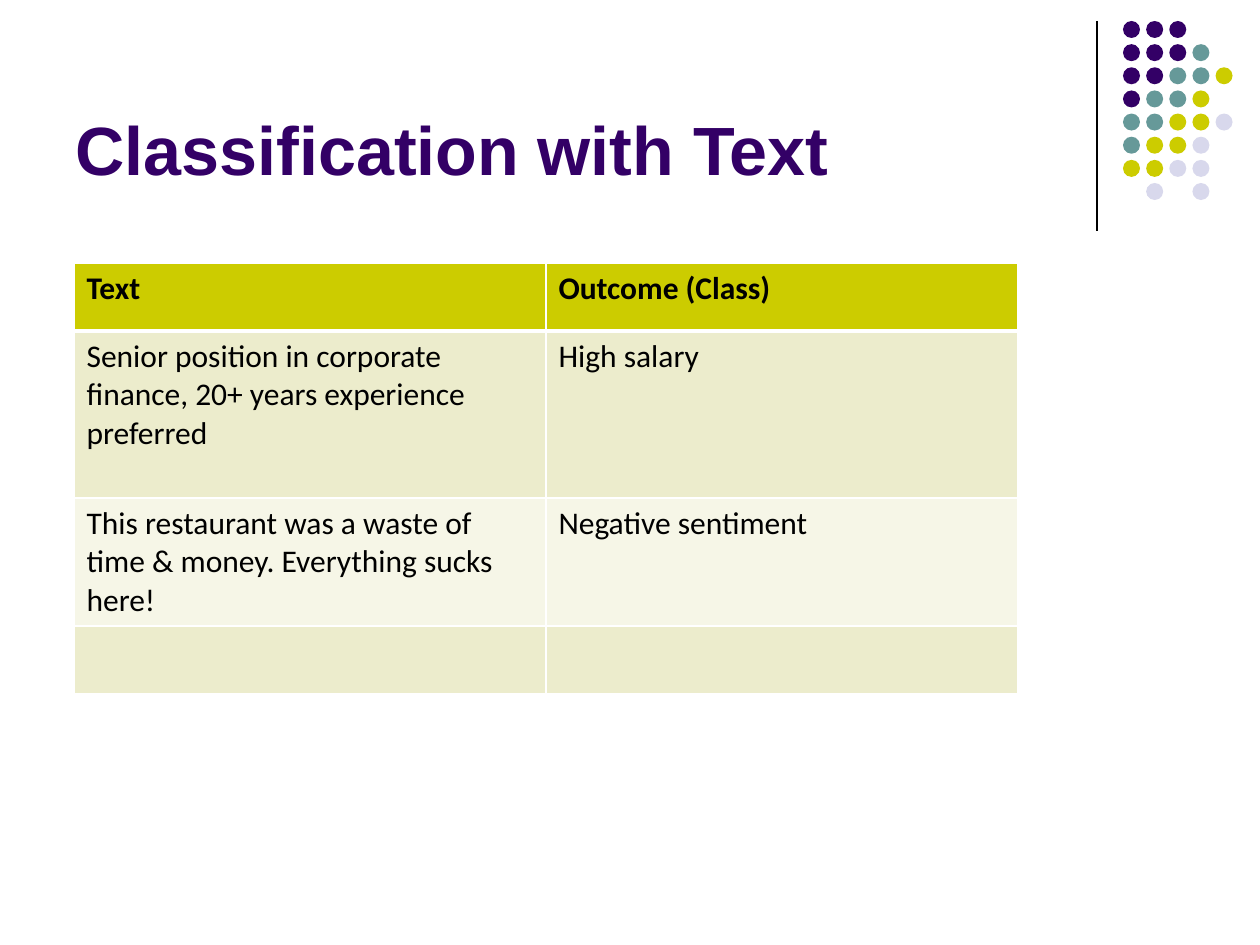
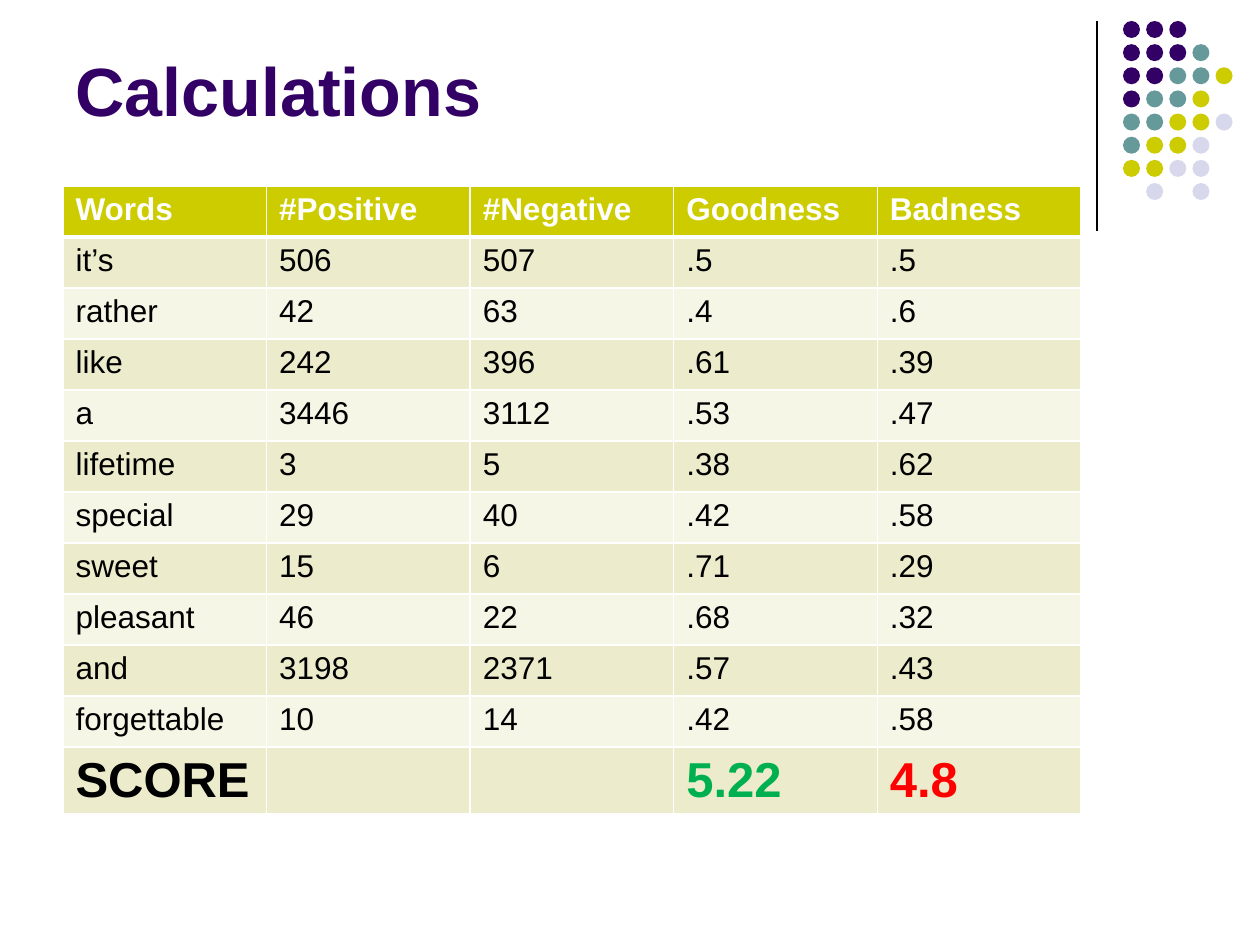
"""Build two slides on scoring text: a classification table and a word calculation table."""
from dataclasses import dataclass

from lxml import etree
from pptx import Presentation
from pptx.dml.color import RGBColor
from pptx.enum import shapes, text
from pptx.oxml import ns
from pptx.util import Inches, Pt

PX = Inches(1) / 126
TITLE_ONLY = 5


@dataclass(frozen=True)
class Theme:
    """Colours, fonts and type sizes of the deck."""
    purple: str = "330066"
    teal: str = "669999"
    lime: str = "CCCC00"
    lilac: str = "D8D8EC"
    band: str = "ECECCC"
    band_light: str = "F6F6E7"
    black: str = "000000"
    white: str = "FFFFFF"
    good: str = "00B050"
    bad: str = "FF0000"
    heading: str = "Arial"
    body: str = "Calibri"
    title_size: int = 39
    text_size: int = 18
    score_size: int = 28


T = Theme()
DOT_COLOURS = {"P": T.purple, "T": T.teal, "Y": T.lime, "L": T.lilac}
DOT_ROWS = ("PPP", "PPPT", "PPTTY", "PTTY", "TTYYL", "TYYL", "YYLL", " L L")

CLASSES = [
    ("Text ", "Outcome (Class)"),
    ("Senior position in corporate finance, 20+ years experience preferred", "High salary"),
    ("This restaurant was a waste of time & money. Everything sucks here!", "Negative sentiment"),
    ("", ""),
]
WORDS = [
    ("Words", "#Positive", "#Negative", "Goodness", "Badness"),
    ("it’s", "506", "507", ".5", ".5"),
    ("rather", "42", "63", ".4", ".6"),
    ("like", "242", "396", ".61", ".39"),
    ("a", "3446", "3112", ".53", ".47"),
    ("lifetime", "3", "5", ".38", ".62"),
    ("special", "29", "40", ".42", ".58"),
    ("sweet", "15", "6", ".71", ".29"),
    ("pleasant", "46", "22", ".68", ".32"),
    ("and", "3198", "2371", ".57", ".43"),
    ("forgettable", "10", "14", ".42", ".58"),
    ("SCORE", "", "", "5.22", "4.8"),
]


def px(*lengths):
    """Turn pixel lengths into EMU."""
    return [round(n * PX) for n in lengths]


def rgb(colour):
    """Turn a hex string into a colour."""
    return RGBColor.from_string(colour)


def set_attrs(obj, **values):
    """Set attributes of an object from a dict of values."""
    for name, value in values.items():
        setattr(obj, name, value)


def set_font(font, name, size, colour, bold):
    """Format a font."""
    set_attrs(font, name=name, size=Pt(size), bold=bold)
    font.color.rgb = rgb(colour)


def add_rule(sp_tree):
    """Draw the vertical rule left of the dots."""
    line = sp_tree.add_connector(shapes.MSO_CONNECTOR.STRAIGHT, *px(1097, 21, 1097, 231))
    line.line.width = Pt(0.75)
    line.line.color.rgb = rgb(T.black)
    etree.SubElement(line.element.spPr, ns.qn("a:effectLst"))
    return line


def add_dots(sp_tree):
    """Draw the grouped grid of coloured dots."""
    group = sp_tree.add_group_shape()
    pitch = 162 / 7
    for row, codes in enumerate(DOT_ROWS):
        for col, code in enumerate(codes):
            if code == " ":
                continue
            box = px(1123 + col * pitch, 21 + row * pitch, 17, 17)
            sp = group.shapes.add_shape(shapes.MSO_SHAPE.OVAL, *box)
            sp.shadow.inherit = False
            sp.fill.solid()
            sp.fill.fore_color.rgb = rgb(DOT_COLOURS[code])
            sp.line.fill.background()
    return group


def decorate_master(prs, slide):
    """Draw the rule and dots once and move them to the slide master."""
    tree = prs.slide_master.shapes.element
    for sp in (add_rule(slide.shapes), add_dots(slide.shapes)):
        tree.append(sp.element)
    for number, item in enumerate(tree.xpath(".//p:cNvPr"), 1):
        item.set("id", str(number))


def set_title(slide, words, top):
    """Place and format the slide title."""
    sp = slide.shapes.title
    left, top, width, height = px(63, top, 1040, 179)
    set_attrs(sp, left=left, top=top, width=width, height=height)
    tf = sp.text_frame
    set_attrs(tf, text=words, word_wrap=True, auto_size=text.MSO_AUTO_SIZE.NONE,
              vertical_anchor=text.MSO_ANCHOR.BOTTOM)
    p = tf.paragraphs[0]
    p.alignment = text.PP_ALIGN.LEFT
    set_font(p.runs[0].font, T.heading, T.title_size, T.purple, True)


def set_borders(cell, top, bottom):
    """Give a cell white borders, with the top and bottom widths in points."""
    props = cell._tc.get_or_add_tcPr()
    for side, width in {"L": 1, "R": 1, "T": top, "B": bottom}.items():
        ln = etree.SubElement(props, ns.qn(f"a:ln{side}"), w=str(Pt(width)))
        fill = etree.SubElement(ln, ns.qn("a:solidFill"))
        etree.SubElement(fill, ns.qn("a:srgbClr"), val=T.white)


def add_table(slide, rows, box, heights, font, header_colour):
    """Add a banded table with a heavier line under its header."""
    table = slide.shapes.add_table(len(rows), len(rows[0]), *px(*box)).table
    for row, height in zip(table.rows, px(*heights)):
        row.height = height
    for i, values in enumerate(rows):
        fill = T.lime if i == 0 else (T.band_light, T.band)[i % 2]
        for j, value in enumerate(values):
            cell = table.cell(i, j)
            set_borders(cell, 3 if i == 1 else 1, 3 if i == 0 else 1)
            cell.fill.solid()
            cell.fill.fore_color.rgb = rgb(fill)
            if value:
                r = cell.text_frame.paragraphs[0].add_run()
                r.text = value
                set_font(r.font, font, T.text_size, T.black if i else header_colour, i == 0)
    return table


def highlight_scores(table):
    """Enlarge the score row and colour its two totals."""
    last = len(table.rows) - 1
    for col, colour in {0: T.black, 3: T.good, 4: T.bad}.items():
        r = table.cell(last, col).text_frame.paragraphs[0].runs[0]
        set_font(r.font, T.heading, T.score_size, colour, True)


def main():
    """Build and save the deck."""
    prs = Presentation()
    set_attrs(prs, slide_width=Inches(10), slide_height=Inches(7.5))
    layout = prs.slide_layouts[TITLE_ONLY]

    slide = prs.slides.add_slide(layout)
    decorate_master(prs, slide)
    set_title(slide, "Classification with Text", 16)
    add_table(slide, CLASSES, (74, 263, 944, 429), (68, 167, 117, 68), T.body, T.black)

    slide = prs.slides.add_slide(layout)
    set_title(slide, "Calculations", -42)
    heights = [51] * (len(WORDS) - 1) + [67]
    table = add_table(slide, WORDS, (63, 186, 1018, 628), heights, T.heading, T.white)
    highlight_scores(table)

    prs.save("out.pptx")


main()
